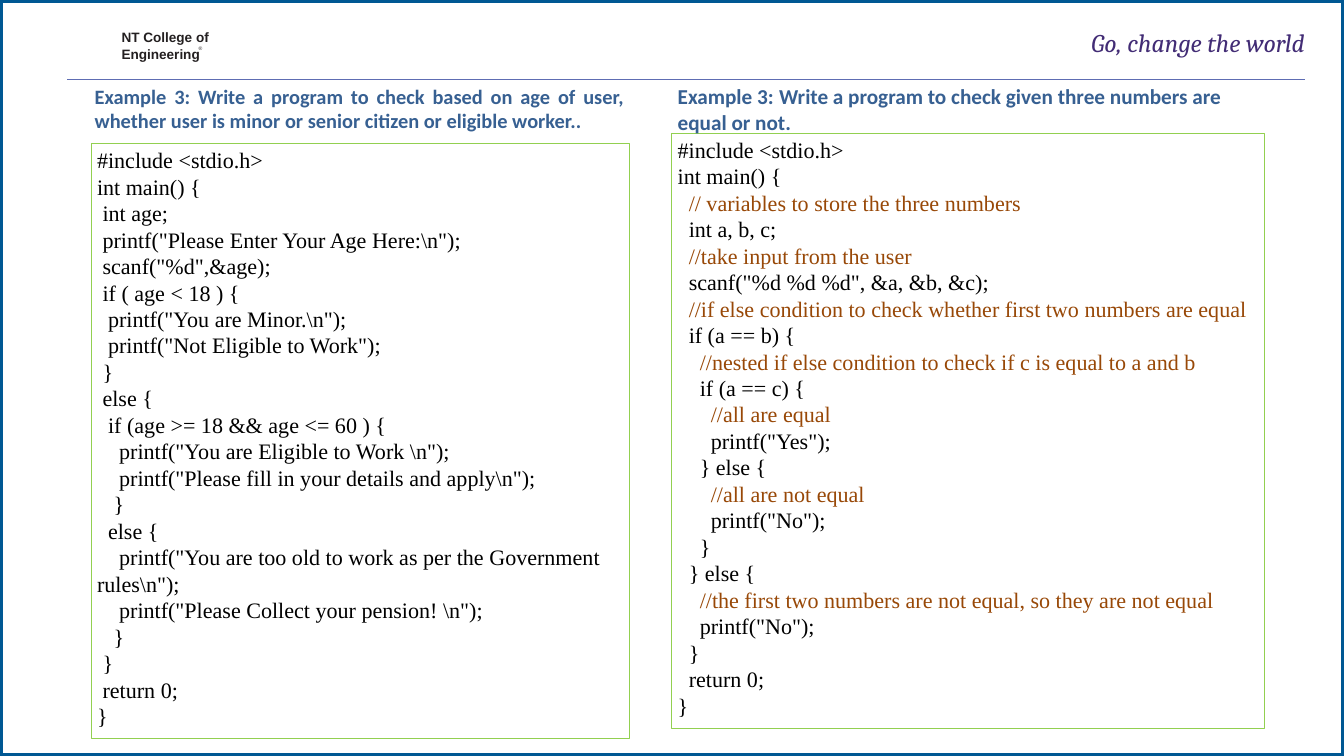
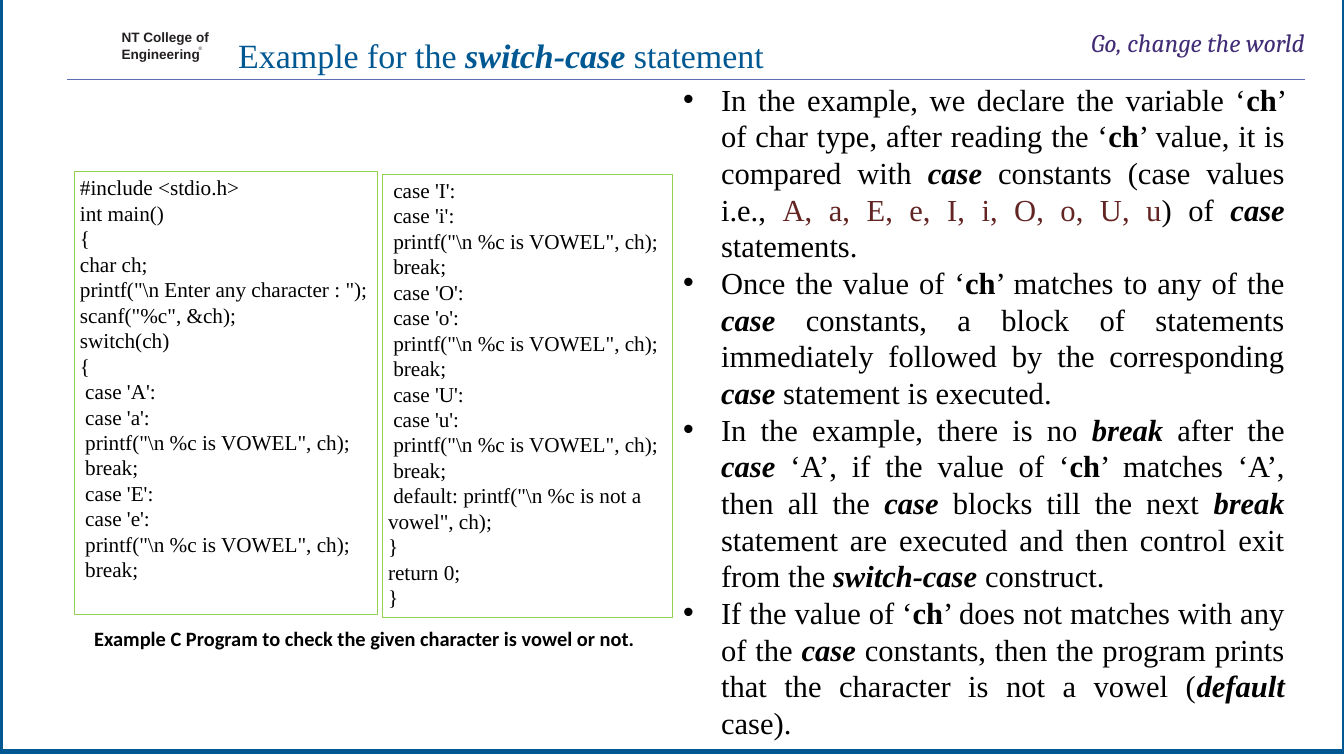
from pptx import Presentation
from pptx.dml.color import RGBColor
from pptx.enum.shapes import MSO_CONNECTOR, MSO_SHAPE
from pptx.enum.text import MSO_ANCHOR, PP_ALIGN
from pptx.oxml.ns import qn
from pptx.util import Emu, Pt
from lxml import etree

PX = 9144  # 100 px to the inch
WIDE, HIGH = 2199, 1237

RECT = MSO_SHAPE.RECTANGLE
LINE = MSO_CONNECTOR.STRAIGHT
TOP, MID = MSO_ANCHOR.TOP, MSO_ANCHOR.MIDDLE
LEFT, RIGHT = PP_ALIGN.LEFT, PP_ALIGN.RIGHT
CENTER, FULL = PP_ALIGN.CENTER, PP_ALIGN.JUSTIFY

WHITE = RGBColor(0xFF, 0xFF, 0xFF)
BLACK = RGBColor(0x00, 0x00, 0x00)
INK = RGBColor(0x23, 0x1F, 0x20)
BLUE = RGBColor(0x00, 0x58, 0x93)
STEEL = RGBColor(0x37, 0x60, 0x92)
VIOLET = RGBColor(0x42, 0x2C, 0x75)
RULE = RGBColor(0x5E, 0x6D, 0xB3)
GREEN = RGBColor(0x92, 0xD0, 0x50)
BROWN = RGBColor(0x98, 0x48, 0x07)
WINE = RGBColor(0x63, 0x25, 0x23)

SERIF, SANS = "Times New Roman", "Calibri"


def px(num):
    return Emu(round(num * PX))


class Deck:
    def __init__(self):
        self.prs = Presentation()
        self.prs.slide_width, self.prs.slide_height = px(WIDE), px(HIGH)
        self.page = None

    # Shared frame, rule, name and motto
    def slide(self, x=0, y=0):
        self.page = self.prs.slides.add_slide(self.prs.slide_layouts[6])
        frame = self.rect((x, y, WIDE, HIGH), BLUE, 6)
        frame.fill.solid()
        frame.fill.fore_color.rgb = WHITE
        self.rule(110, 130, 2136)
        name = self.text((199, 48, 150, 54), ["NT College of", "Engineering"],
                         "Arial", 16, INK, bold=True, inset=(0, 2))
        for par in name.paragraphs:
            par.line_spacing, par.space_before = Pt(17.9), Pt(1.4)
        self.text((325, 75, 10, 10), ["®"], "Arial", 6, INK, inset=(0, 0))
        self.text((1733, 45, 402, 51), ["Go, change the world"],
                  "Cambria", 30, VIOLET, align=RIGHT, italic=True, inset=(0, 0))

    def rect(self, box, color, width):
        shape = self.page.shapes.add_shape(RECT, *map(px, box))
        shape.shadow.inherit = False
        shape.fill.background()
        shape.line.color.rgb, shape.line.width = color, Pt(width)
        return shape

    def rule(self, x, y, end):
        line = self.page.shapes.add_connector(LINE, px(x), px(y), px(end), px(y))
        line.line.color.rgb, line.line.width = RULE, Pt(1.25)
        etree.SubElement(line._element.spPr, qn("a:effectLst"))

    # A paragraph is a string or a list of runs; a run is a string or (text, changes)
    def text(self, box, pars, face, size, color, align=LEFT, inset=(10, 5),
             wrap=True, **style):
        frame = self.page.shapes.add_textbox(*map(px, box)).text_frame
        self.fill(frame, pars, face, size, color, align, inset, wrap, **style)
        return frame

    def fill(self, frame, pars, face, size, color, align=LEFT, inset=(10, 5),
             wrap=True, **style):
        frame.word_wrap, frame.vertical_anchor = wrap, TOP
        frame.margin_left = frame.margin_right = px(inset[0])
        frame.margin_top = frame.margin_bottom = px(inset[1])
        for num, runs in enumerate(pars):
            par = frame.add_paragraph() if num else frame.paragraphs[0]
            par.alignment = align
            for item in [runs] if isinstance(runs, str) else runs:
                words, more = (item, {}) if isinstance(item, str) else item
                look = {"size": size, "color": color, **style, **more}
                run = par.add_run()
                run.text, run.font.name = words, face
                run.font.size = Pt(look.pop("size"))
                run.font.color.rgb = look.pop("color")
                for key, value in look.items():
                    setattr(run.font, key, value)

    def indent(self, par, left, first):
        props = par._p.get_or_add_pPr()
        props.set("marL", str(px(left)))
        props.set("indent", str(px(first)))
        return props

    # Green box of code: leading spaces become first-line indents
    def code(self, box, source, size):
        frame = self.rect(box, GREEN, 0.75).text_frame
        lines = source.splitlines()
        pars = []
        for line in lines:
            words = line.strip()
            pars.append([(words, {"color": BROWN if words.startswith("//") else BLACK})])
        self.fill(frame, pars, SERIF, size, BLACK)
        space = size / 4 / 72 * 100
        for par, line in zip(frame.paragraphs, lines):
            self.indent(par, 0, space * (len(line) - len(line.lstrip())))

    def bullets(self, box, pars, size):
        frame = self.text(box, pars, SERIF, size, BLACK, FULL)
        for par in frame.paragraphs:
            props = self.indent(par, 62, -62)
            etree.SubElement(props, qn("a:buFont")).set("typeface", "Arial")
            etree.SubElement(props, qn("a:buChar")).set("char", "•")

    def head(self, box, runs, size, color=STEEL, align=LEFT):
        self.text(box, [runs], SANS, size, color, align, bold=True)


AGE = r'''#include <stdio.h>
int main() {
 int age;
 printf("Please Enter Your Age Here:\n");
 scanf("%d",&age);
 if ( age < 18 ) {
  printf("You are Minor.\n");
  printf("Not Eligible to Work");
 }
 else {
  if (age >= 18 && age <= 60 ) {
    printf("You are Eligible to Work \n");
    printf("Please fill in your details and apply\n");
   }
  else {
    printf("You are too old to work as per the Government rules\n");
    printf("Please Collect your pension! \n");
   }
 }
 return 0;
}'''

EQUAL = r'''#include <stdio.h>
int main() {
  // variables to store the three numbers
  int a, b, c;
  //take input from the user
  scanf("%d %d %d", &a, &b, &c);
  //if else condition to check whether first two numbers are equal
  if (a == b) {
    //nested if else condition to check if c is equal to a and b
    if (a == c) {
      //all are equal
      printf("Yes");
    } else {
      //all are not equal
      printf("No");
    }
  } else {
    //the first two numbers are not equal, so they are not equal
    printf("No");
  }
  return 0;
}'''


def cases(low):
    return "\n".join([f" case '{low.upper()}':", f" case '{low}':",
                      r' printf("\n %c is VOWEL", ch);', " break;", ""])


START = r'''#include <stdio.h>
int main()
{
char ch;
printf("\n Enter any character : ");
scanf("%c", &ch);
switch(ch)
{
''' + cases("a") + cases("e")

REST = cases("i") + cases("o") + cases("u") + r''' default: printf("\n %c is not a vowel", ch);
}
return 0;
}'''


def strong(words):
    return words, {"bold": True, "italic": True}


CH = ("ch", {"bold": True})
CASE, BREAK, SWITCH = strong("case"), strong("break"), strong("switch-case")

NOTES = [
    ["In the example, we declare the variable ‘", CH,
     "’ of char type, after reading the ‘", CH, "’ value, it is compared with ",
     CASE, " constants (case values i.e., ",
     ("A, a, E, e, I, i, O, o, U, u", {"color": WINE}), ") of ", CASE, " statements."],
    ["Once the value of ‘", CH, "’ matches to any of the ", CASE,
     " constants, a block of statements immediately followed by the corresponding ",
     CASE, " statement is executed."],
    ["In the example, there is no ", BREAK, " after the ", CASE,
     " ‘A’, if the value of ‘", CH, "’ matches ‘A’, then all the ", CASE,
     " blocks till the next ", BREAK,
     " statement are executed and then control exit from the ", SWITCH, " construct."],
    ["If the value of ‘", CH, "’ does not matches with any of the ", CASE,
     " constants, then the program prints that the character is not a vowel (",
     strong("default"), " case)."],
]


def main():
    deck = Deck()

    # Slide 1: two if-else programs
    deck.slide()
    deck.code((149, 235, 880, 973), AGE, 26)
    deck.code((1099, 218, 969, 973), EQUAL, 26)
    deck.head((145, 132, 886, 91),
              "Example 3: Write a program to check based on age of user, "
              "whether user is minor or senior citizen or eligible worker..", 24, align=FULL)
    deck.head((1099, 127, 969, 99),
              ["Example 3:", (" ", {"size": 28}),
               "Write a program to check given three numbers are equal or not."], 25)

    # Slide 2: switch-case program and notes
    deck.slide(1, -8)
    deck.code((121, 281, 496, 725), START, 25)
    deck.code((625, 285, 475, 725), REST, 25)
    deck.bullets((1108, 127, 1004, 1101), NOTES, 36)
    deck.head((134, 1019, 924, 50),
              "Example C Program to check the given character is vowel or not.",
              24, BLACK, CENTER)
    deck.text((380, 52, 890, 77), [["Example for the ", strong("switch-case "), "statement"]],
              SERIF, 40, BLUE)

    deck.prs.save("out.pptx")


if __name__ == "__main__":
    main()
